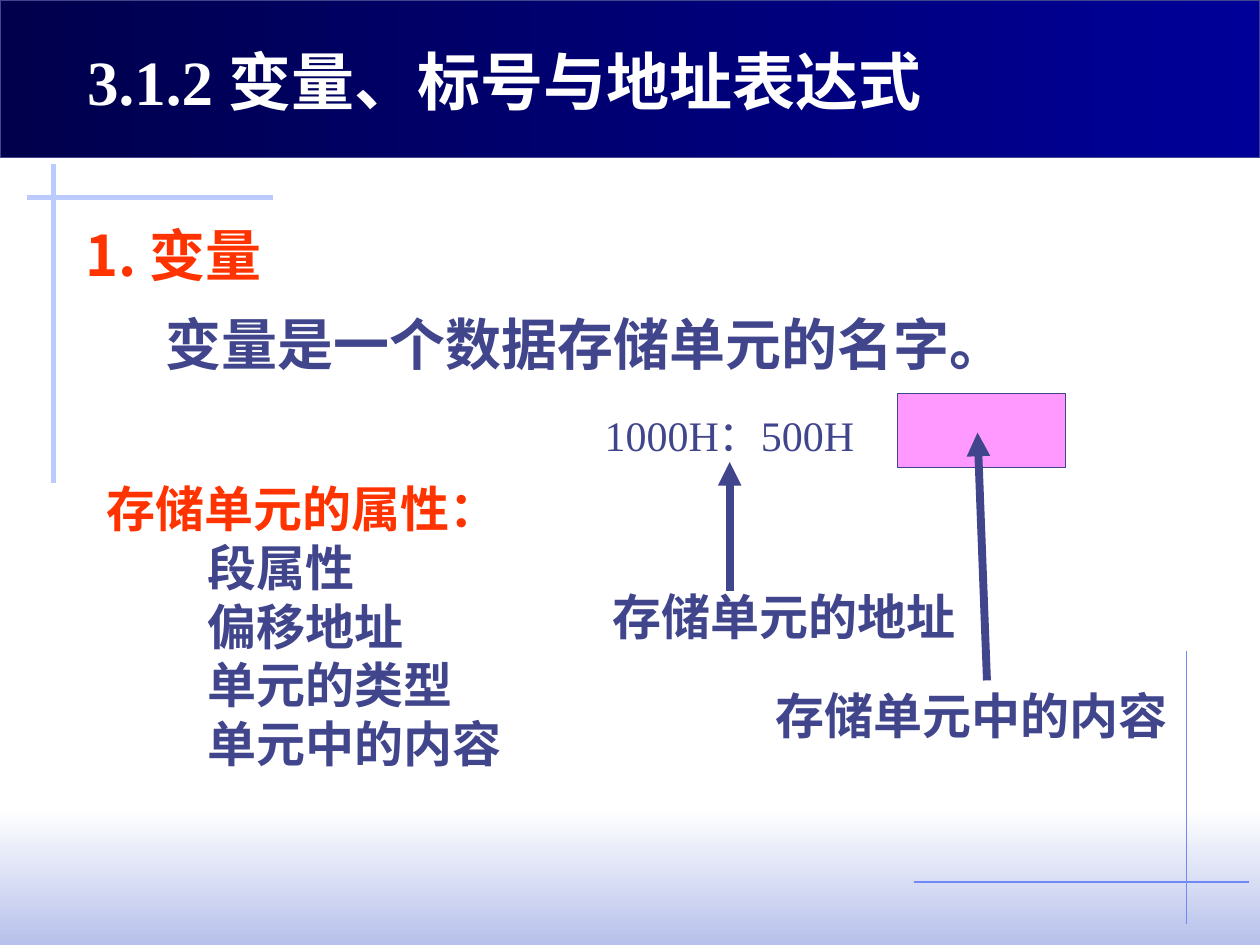
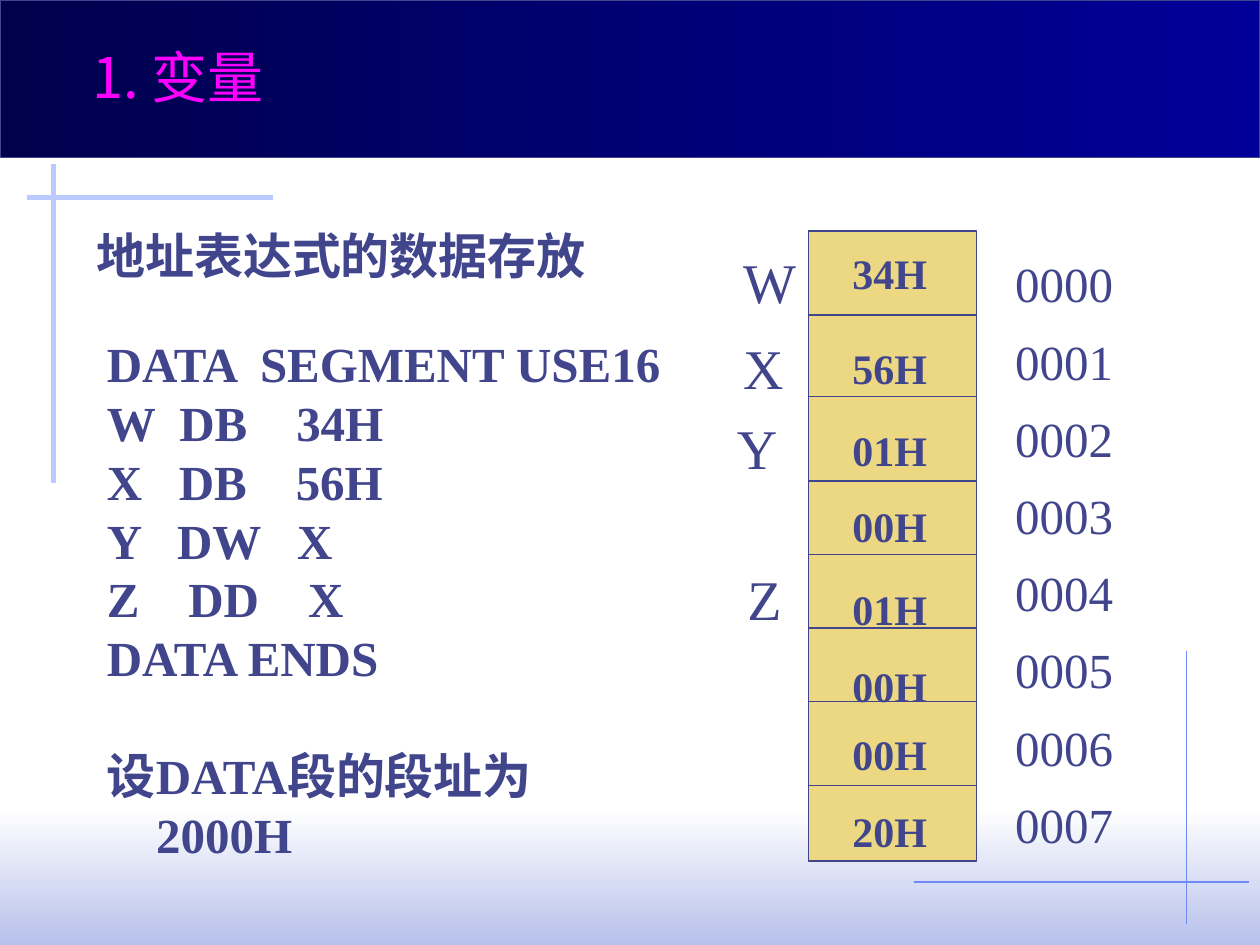
from lxml.etree import SubElement
from pptx import Presentation
from pptx.dml.color import RGBColor
from pptx.enum.shapes import MSO_CONNECTOR, MSO_SHAPE
from pptx.enum.text import MSO_ANCHOR, MSO_AUTO_SIZE, PP_ALIGN
from pptx.oxml.ns import qn
from pptx.util import Inches, Pt

INK = RGBColor(0x40, 0x45, 0x8C)
RED = RGBColor(0xFF, 0x33, 0x00)
MAGENTA = RGBColor(0xFF, 0x00, 0xFF)
WHITE = RGBColor(0xFF, 0xFF, 0xFF)
PINK = RGBColor(0xFF, 0x99, 0xFF)
SAND = RGBColor(0xEC, 0xD8, 0x82)
NAVY = RGBColor(0x00, 0x00, 0x4D)
BLUE = RGBColor(0x00, 0x00, 0x99)
HAZE = RGBColor(0xB7, 0xC1, 0xEB)
PALE = RGBColor(0xBB, 0xCB, 0xFD)
SKY = RGBColor(0x6F, 0x89, 0xF7)
SERIF = "Times New Roman"
SANS = "Noto Sans CJK SC"
COLS, ROWS = 120, 90


def write(tf, text, size=28, color=INK, bold=False, font=SERIF, indent=0, before=0):
    p = tf.add_paragraph() if tf.text else tf.paragraphs[0]
    if indent:
        p._p.get_or_add_pPr().set("marL", str(int(indent)))
    p.alignment = PP_ALIGN.LEFT
    p.line_spacing = Pt(size * 1.2)
    p.space_before = Pt(before)
    r = p.add_run()
    r.text = text
    r.font.size, r.font.bold, r.font.name = Pt(size), bold, font
    r.font.color.rgb = color
    SubElement(r._r.get_or_add_rPr(), qn("a:ea")).set("typeface", SANS)


class Deck:
    def __init__(self):
        self.prs = Presentation()
        self.prs.slide_width, self.prs.slide_height = Inches(10), Inches(7.5)
        self.layout = self.prs.slide_layouts[5]
        self.s = None

    def x(self, col):
        return int(self.prs.slide_width * col / COLS)

    def y(self, row):
        return int(self.prs.slide_height * row / ROWS)

    def box(self, col, row, cols, rows):
        return self.x(col), self.y(row), self.x(cols), self.y(rows)

    def slide(self, title, at, **fmt):
        self.s = self.prs.slides.add_slide(self.layout)
        sp = self.s.shapes.title
        sp.left, sp.top, sp.width, sp.height = self.box(*at)
        self.frame(sp.text_frame)
        write(sp.text_frame, title, **fmt)

    def frame(self, tf, wrap=True):
        tf.word_wrap = wrap
        tf.auto_size = MSO_AUTO_SIZE.NONE
        tf.vertical_anchor = MSO_ANCHOR.TOP

    def text(self, at, *lines, wrap=True, **fmt):
        tf = self.s.shapes.add_textbox(*self.box(*at)).text_frame
        self.frame(tf, wrap)
        for line in lines:
            write(tf, line, **fmt)
        return tf

    def rect(self, at, *colors, angle=0, line=INK):
        sp = self.s.shapes.add_shape(MSO_SHAPE.RECTANGLE, *self.box(*at))
        sp.shadow.inherit = False
        if len(colors) == 1:
            sp.fill.solid()
            sp.fill.fore_color.rgb = colors[0]
        else:
            sp.fill.gradient()
            sp.fill.gradient_angle = angle
            for stop, color in zip(sp.fill.gradient_stops, colors):
                stop.color.rgb = color
        if line is None:
            sp.line.fill.background()
        else:
            sp.line.color.rgb = line
            sp.line.width = Pt(0.75)

    def line(self, x1, y1, x2, y2, color=INK, width=0.75, arrow=False):
        c = self.s.shapes.add_connector(
            MSO_CONNECTOR.STRAIGHT, self.x(x1), self.y(y1), self.x(x2), self.y(y2))
        c.line.color.rgb = color
        c.line.width = Pt(width)
        if arrow:
            SubElement(c.line._get_or_add_ln(), qn("a:tailEnd")).set("type", "triangle")
        SubElement(c.element.spPr, qn("a:effectLst"))

    def decorate_layout(self):
        self.rect((0, 77, COLS, 13), WHITE, HAZE, angle=270, line=None)
        self.rect((0, 0, COLS, 15), NAVY, BLUE)
        self.line(26, 18.8, 2.6, 18.8, PALE, 3)
        self.line(5.1, 15.6, 5.1, 46, PALE, 3)
        self.line(113, 62, 113, 88, SKY)
        self.line(87, 84, 119, 84, SKY)
        marks = [sp for sp in self.s.shapes if not sp.is_placeholder]
        for n, sp in enumerate(marks):
            sp.element.xpath(".//p:cNvPr")[0].set("id", str(100 + n))
            self.layout.shapes.element.insert(2 + n, sp.element)


def variable_slide(d):
    d.slide("3.1.2 变量、标号与地址表达式", (7.1, 3.4, 88.8, 8.4),
            size=36, color=WHITE, bold=True)
    d.decorate_layout()
    d.text((7, 20.4, 26.5, 7.7), "1. 变量", size=32, color=RED, bold=True, font=SANS)
    d.text((14.6, 28.9, 88.2, 7.7), "变量是一个数据存储单元的名字。",
           size=32, bold=True, font=SANS)
    d.text((56.4, 38.4, 28, 6), "1000H：500H", size=24, wrap=False)
    d.rect((85.5, 37.5, 16, 7), PINK)
    d.text((57.2, 55.3, 35, 6.8), "存储单元的地址", bold=True, wrap=False)
    d.line(69.5, 56.3, 69.5, 44, width=4.5, arrow=True)
    d.text((72.7, 64.7, 39.6, 6.8), "存储单元中的内容", bold=True, wrap=False)
    d.line(94, 64.8, 93.1, 41.2, width=4.5, arrow=True)
    tf = d.text((9, 45, 45.4, 36), "存储单元的属性：", color=RED, bold=True)
    for item in ("段属性", "偏移地址", "单元的类型", "单元中的内容"):
        write(tf, item, bold=True, indent=d.x(9.6))


def storage_slide(d):
    d.slide("1. 变量", (7.6, 3.4, 22.8, 7.7), size=32, color=MAGENTA, font=SANS)
    d.text((8, 20.9, 57.6, 6.8), "地址表达式的数据存放", bold=True)
    tf = d.text((9, 31.2, 56.2, 51.7),
                "DATA  SEGMENT USE16", "W  DB    34H", "X   DB    56H",
                "Y   DW   X", "Z    DD    X", "DATA ENDS", bold=True, wrap=False)
    write(tf, "设DATA段的段址为", bold=True, before=33.6)
    write(tf, "2000H", bold=True, indent=d.x(4.7))

    left, width = 77, 16
    d.rect((left, 22, width, 60), SAND)
    for row in (30, 37.8, 45.8, 52.8, 59.8, 66.8, 74.8):
        d.line(left, row, left + width, row)
    for name, col, row, cols in (("W", 69.6, 23, 7.4), ("X", 69.6, 31.2, 6.2),
                                 ("Y", 69, 38.8, 6.2), ("Z", 70, 53.2, 5.6)):
        d.text((col, row, cols, 7.7), name, size=32, wrap=False)
    for i in range(8):
        d.text((95.5, 23.6 + 7.35 * i, 11.6, 6.8), f"{i:04}", wrap=False)
    for row, *values in ((23, "34H"), (32, "56H"), (39.8, "01H", "00H"),
                         (55, "01H", "00H"), (68.8, "00H", "20H")):
        tf = d.text((80, row, 12, 6 + 7.3 * (len(values) - 1)), values[0],
                    size=24, bold=True)
        for value in values[1:]:
            write(tf, value, size=24, bold=True, before=15)


def main():
    d = Deck()
    variable_slide(d)
    storage_slide(d)
    d.prs.save("out.pptx")


if __name__ == "__main__":
    main()
